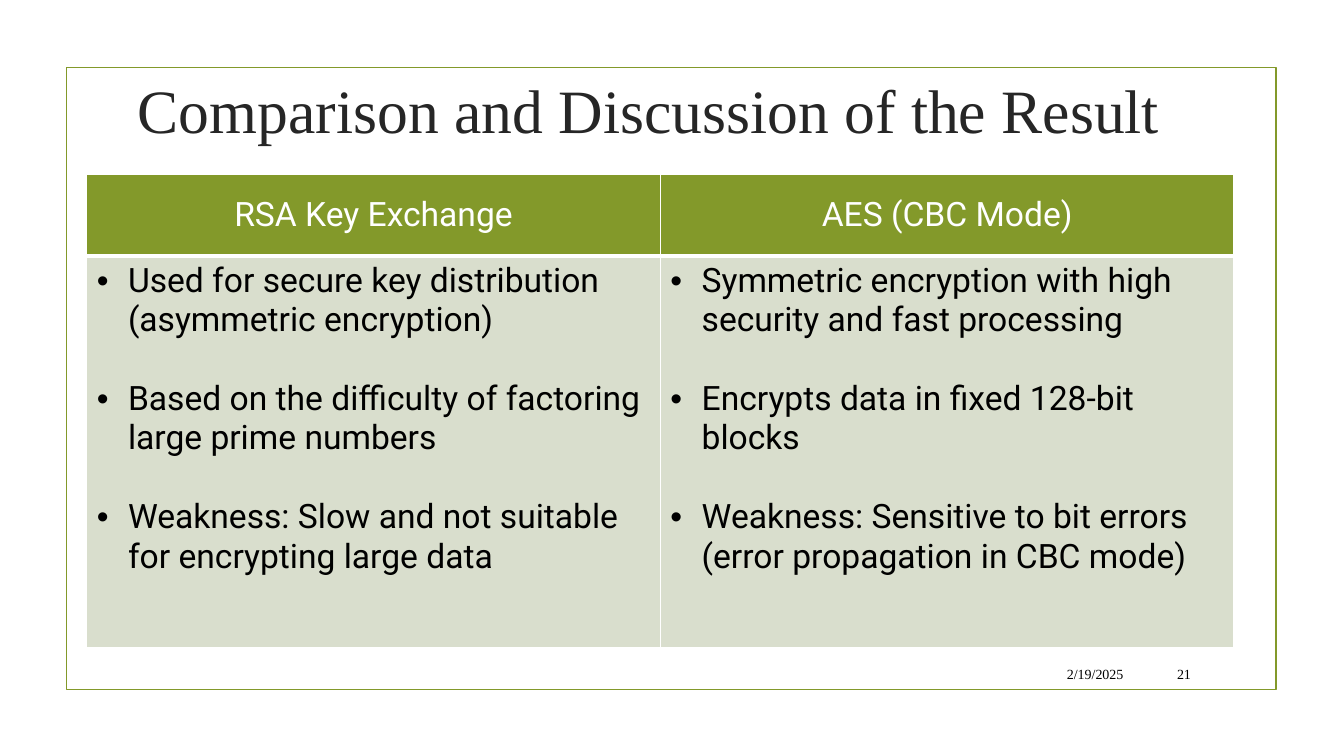
from dataclasses import dataclass

from lxml import etree
from pptx import Presentation
from pptx.dml.color import RGBColor
from pptx.enum import shapes, text
from pptx.oxml import ns
from pptx.util import Inches, Pt

COLORS = {
    "green": "83992A",
    "sage": "D9DECD",
    "white": "FFFFFF",
    "black": "000000",
    "charcoal": "262626",
}
SERIF, SANS = "Times New Roman", "Roboto"
BULLET_INDENT = Inches(0.31)


@dataclass
class Label:
    wording: str
    left: float
    top: float
    width: float
    height: float
    size: int
    color: str
    align: text.PP_ALIGN
    bottom_inset: float = 0.05


@dataclass
class Method:
    name: str
    points: list[str]


LABELS = [
    Label("Comparison and Discussion of the Result", 0.96, 0.46, 10.96, 1.92,
          44, "charcoal", text.PP_ALIGN.CENTER, bottom_inset=0.72),
    Label("2/19/2025", 9.49, 6.53, 1.75, 0.31, 10, "black", text.PP_ALIGN.RIGHT),
    Label("21", 11.32, 6.53, 0.59, 0.31, 10, "black", text.PP_ALIGN.RIGHT),
]
METHODS = [
    Method("RSA Key Exchange", [
        "Used for secure key distribution (asymmetric encryption)",
        "Based on the difficulty of factoring large prime numbers",
        "Weakness: Slow and not suitable for encrypting large data",
    ]),
    Method("AES (CBC Mode)", [
        "Symmetric encryption with high security and fast processing",
        "Encrypts data in fixed 128-bit blocks",
        "Weakness: Sensitive to bit errors (error propagation in CBC mode)",
    ]),
]


def rgb(color: str) -> RGBColor:
    return RGBColor.from_string(COLORS[color])


def add_run(paragraph, wording: str, font: str, size: int, color: str) -> None:
    run = paragraph.add_run()
    run.text = wording
    run.font.name = font
    run.font.size = Pt(size)
    run.font.bold = False
    run.font.color.rgb = rgb(color)


def add_label(slide, label: Label) -> None:
    box = slide.shapes.add_textbox(Inches(label.left), Inches(label.top),
                                   Inches(label.width), Inches(label.height))
    frame = box.text_frame
    frame.word_wrap = True
    frame.vertical_anchor = text.MSO_ANCHOR.MIDDLE
    frame.margin_bottom = Inches(label.bottom_inset)
    paragraph = frame.paragraphs[0]
    paragraph.alignment = label.align
    add_run(paragraph, label.wording, SERIF, label.size, label.color)


def add_bullet(paragraph) -> None:
    props = paragraph._p.get_or_add_pPr()
    props.set("marL", str(BULLET_INDENT))
    props.set("indent", str(-BULLET_INDENT))
    etree.SubElement(props, ns.qn("a:buFont"), typeface="Arial")
    etree.SubElement(props, ns.qn("a:buChar"), char="•")


def style_cell(cell, fill: str, top: int = 1, bottom: int = 1) -> None:
    cell.fill.solid()
    cell.fill.fore_color.rgb = rgb(fill)
    props = cell._tc.get_or_add_tcPr()
    widths = {"L": 1, "R": 1, "T": top, "B": bottom}
    for position, (side, width) in enumerate(widths.items()):
        border = etree.Element(ns.qn(f"a:ln{side}"), w=str(Pt(width)))
        solid = etree.SubElement(border, ns.qn("a:solidFill"))
        etree.SubElement(solid, ns.qn("a:srgbClr"), val=COLORS["white"])
        props.insert(position, border)


def add_comparison(slide, methods: list[Method]) -> None:
    table = slide.shapes.add_table(2, len(methods), Inches(0.86), Inches(1.73),
                                   Inches(11.38), Inches(4.69)).table
    table.rows[0].height = Inches(0.81)
    table.rows[1].height = Inches(3.88)
    for column, method in enumerate(methods):
        heading, details = table.cell(0, column), table.cell(1, column)
        style_cell(heading, "green", bottom=3)
        style_cell(details, "sage", top=3)

        heading.vertical_anchor = text.MSO_ANCHOR.MIDDLE
        title = heading.text_frame.paragraphs[0]
        title.alignment = text.PP_ALIGN.CENTER
        add_run(title, method.name, SANS, 24, "white")

        frame = details.text_frame
        for number, point in enumerate(method.points):
            paragraph = frame.add_paragraph() if number else frame.paragraphs[0]
            if number:
                paragraph.space_before = Pt(28)
            add_bullet(paragraph)
            add_run(paragraph, point, SANS, 24, "black")


def main() -> None:
    deck = Presentation()
    deck.slide_width, deck.slide_height = Inches(13.33), Inches(7.5)
    slide = deck.slides.add_slide(deck.slide_layouts[6])

    # Green frame
    frame = slide.shapes.add_shape(shapes.MSO_SHAPE.RECTANGLE, Inches(0.66),
                                   Inches(0.67), Inches(12), Inches(6.17))
    frame.shadow.inherit = False
    frame.fill.background()
    frame.line.color.rgb = rgb("green")
    frame.line.width = Pt(1.25)

    # Title, date and page number
    for label in LABELS:
        add_label(slide, label)

    # Comparison table
    add_comparison(slide, METHODS)

    deck.save("out.pptx")


if __name__ == "__main__":
    main()
